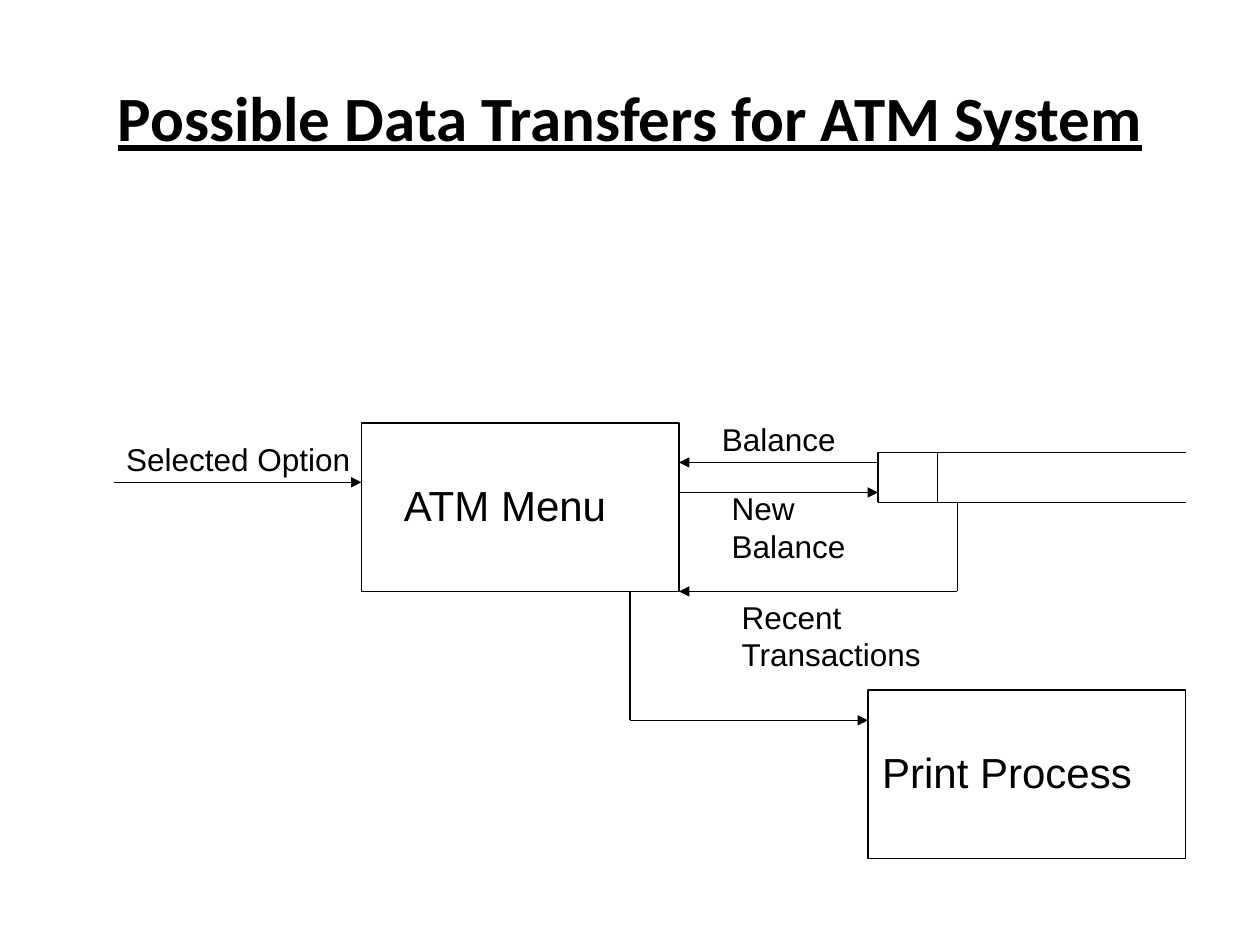
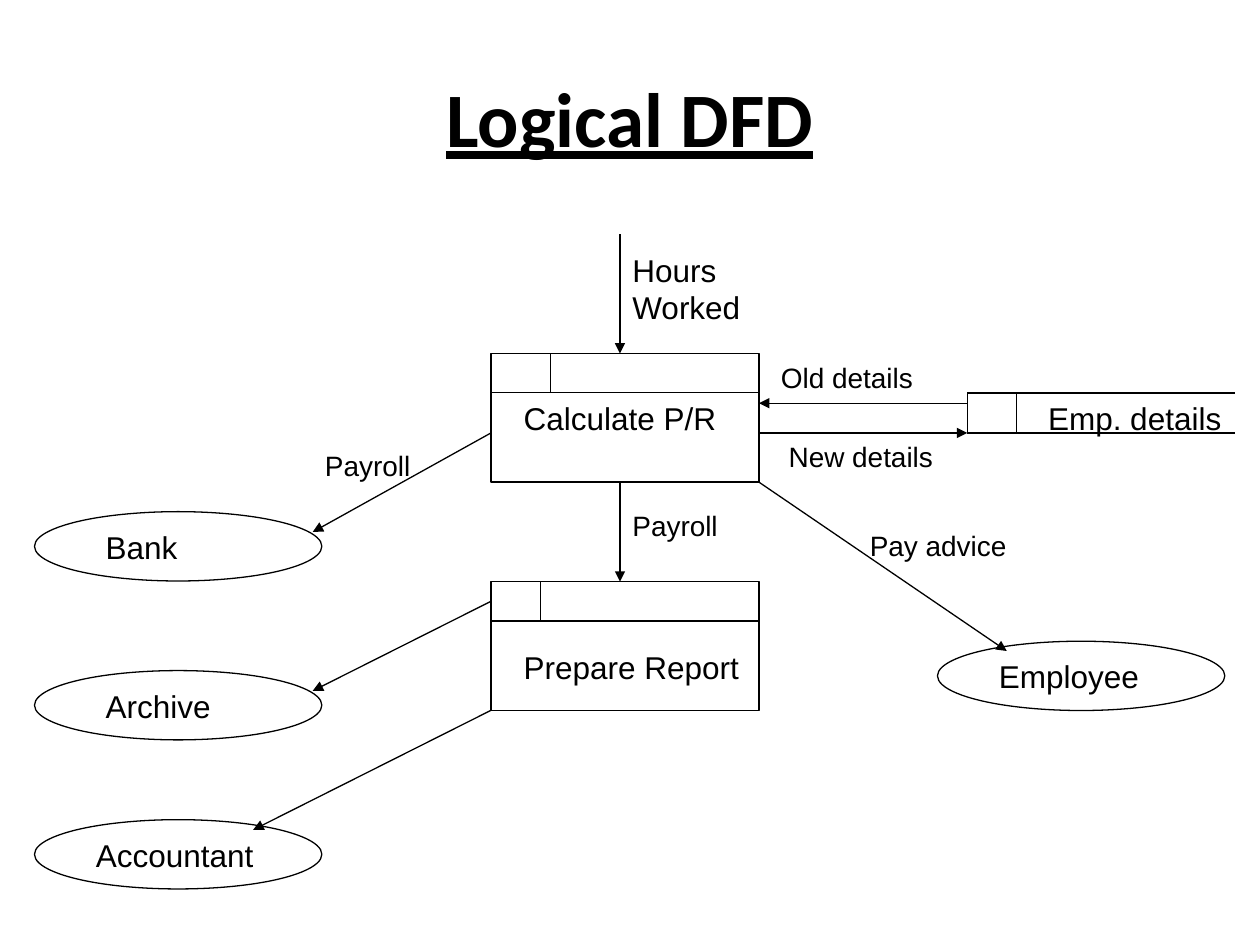
import pptx
import pptx.dml.color
import pptx.enum.shapes
import pptx.enum.text
import pptx.oxml
import pptx.oxml.ns
import pptx.util

Pt = pptx.util.Pt
SHAPES = pptx.enum.shapes.MSO_SHAPE


def colour(value):
    return pptx.dml.color.RGBColor.from_string(value)


class Diagram:
    ink = "000000"
    paper = "FFFFFF"
    stroke = 0.75
    title_font = "Calibri"
    label_font = "Arial"

    def __init__(self, deck):
        self.deck = deck
        self.page = None

    def new_page(self, title, size):
        self.page = self.deck.slides.add_slide(self.deck.slide_layouts[6])
        fill = self.page.background.fill
        fill.solid()
        fill.fore_color.rgb = colour(self.paper)
        box = self.text(title, 36, 21.6, 648, 90, size, self.title_font)
        box.text_frame.vertical_anchor = pptx.enum.text.MSO_ANCHOR.MIDDLE
        para = box.text_frame.paragraphs[0]
        para.alignment = pptx.enum.text.PP_ALIGN.CENTER
        para.runs[0].font.bold = True
        para.runs[0].font.underline = True

    def text(self, words, left, top, width, height, size, font):
        box = self.page.shapes.add_textbox(Pt(left), Pt(top), Pt(width), Pt(height))
        frame = box.text_frame
        frame.word_wrap = True
        frame.text = words
        span = frame.paragraphs[0].runs[0]
        span.font.name = font
        span.font.size = Pt(size)
        span.font.color.rgb = colour(self.ink)
        return box

    def label(self, words, left, top, width, size=18, lines=1):
        height = 1.2 * size * lines + 7.2
        box = self.text(words, left, top, width, height, size, self.label_font)
        box.text_frame.auto_size = pptx.enum.text.MSO_AUTO_SIZE.SHAPE_TO_FIT_TEXT

    def outline(self, kind, left, top, width, height):
        shape = self.page.shapes.add_shape(kind, Pt(left), Pt(top), Pt(width), Pt(height))
        shape.shadow.inherit = False
        shape.fill.background()
        shape.line.color.rgb = colour(self.ink)
        shape.line.width = Pt(self.stroke)

    def line(self, start, end, arrow=False):
        connector = self.page.shapes.add_connector(
            pptx.enum.shapes.MSO_CONNECTOR.STRAIGHT,
            Pt(start[0]), Pt(start[1]), Pt(end[0]), Pt(end[1]))
        connector.line.color.rgb = colour(self.ink)
        connector.line.width = Pt(self.stroke)
        properties = connector.element.spPr
        if arrow:
            tail = pptx.oxml.parse_xml(
                f'<a:tailEnd {pptx.oxml.ns.nsdecls("a")} type="triangle"/>')
            connector.line._get_or_add_ln().append(tail)
        properties.append(pptx.oxml.parse_xml(
            f'<a:effectLst {pptx.oxml.ns.nsdecls("a")}/>'))

    def flow(self, *points):
        last = len(points) - 2
        for index, (start, end) in enumerate(zip(points, points[1:])):
            self.line(start, end, arrow=index == last)

    def store(self, left, top, right, bottom, divider):
        for y in (top, bottom):
            self.line((left, y), (right, y))
        for x in (left, divider):
            self.line((x, top), (x, bottom))

    def process(self, name, top, divider, label_top):
        left, width, header = 280.6, 153.1, top + 22.5
        self.outline(SHAPES.RECTANGLE, left, top, width, 73.5)
        self.line((left, header), (left + width, header))
        self.line((divider, top), (divider, header))
        self.label(name, 292.2, label_top, 141.8)

    def entity(self, name, left, top, indent):
        self.outline(SHAPES.OVAL, left, top, 164.2, 39.6)
        self.label(name, left + indent, top + 5.8, 113)


def build_atm_transfers(diagram):
    diagram.new_page("Possible Data Transfers for ATM System", 36)
    menu_left, menu_right, menu_bottom = 206.6, 388, 338
    store_left, store_top, store_bottom = 501.7, 258.5, 287
    for left, top in ((menu_left, 241.7), (496, 394.3)):
        diagram.outline(SHAPES.RECTANGLE, left, top, 181.4, 96.4)
    diagram.store(store_left, store_top, 677.5, store_bottom, 535.7)

    diagram.flow((65, 275.6), (menu_left, 275.6))
    diagram.flow((menu_right, 281.4), (store_left, 281.4))
    diagram.flow((store_left, 264.3), (menu_right, 264.3))
    diagram.flow((547, store_bottom), (547, menu_bottom), (menu_right, menu_bottom))
    diagram.flow((360, menu_bottom), (360, 411.6), (496, 411.6))

    diagram.label("Selected Option", 65, 247.9, 175.7)
    diagram.label("Balance", 405.4, 236.4, 90.7)
    diagram.label("New Balance", 411, 276, 90.7, lines=2)
    diagram.label("Recent Transactions", 416.7, 338, 168, lines=2)
    diagram.label("ATM Menu", 223.7, 270.2, 175.7, 24)
    diagram.label("Print Process", 497, 423.3, 169, 24)


def build_payroll(diagram):
    diagram.new_page("Logical DFD", 44)
    left, right = 280.6, 433.7
    calculate_top, report_top = 202, 332.4
    calculate_bottom, report_bottom = calculate_top + 73.5, report_top + 73.5
    store_left = 552.7

    diagram.process("Calculate P/R", calculate_top, 314.6, 224.6)
    diagram.process("Prepare Report", report_top, 308.9, 366.6)
    for name, x, y, indent in (
            ("Bank", 19.7, 292.4, 33.6),
            ("Archive", 19.7, 383.2, 33.6),
            ("Accountant", 19.7, 468.4, 28),
            ("Employee", 535.7, 366.4, 28)):
        diagram.entity(name, x, y, indent)
    diagram.store(store_left, 224.6, 705.6, 247.4, 581)
    diagram.label("Emp. details", 591.8, 224.6, 118.8)

    for start, end in (
            ((354.3, 134), (354.3, calculate_top)),
            ((354.3, calculate_bottom), (354.3, report_top)),
            ((right, 247.4), (store_left, 247.4)),
            ((store_left, 230.4), (right, 230.4)),
            ((left, 247.4), (178.7, 304)),
            ((left, 343.6), (178.7, 394.8)),
            ((left, report_bottom), (144.7, 474.2)),
            ((right, calculate_bottom), (575.3, 372))):
        diagram.flow(start, end)

    diagram.label("Hours Worked", 354.3, 139.7, 108, lines=2)
    for words, x, y, width in (
            ("Old details", 439.2, 202.4, 108),
            ("New details", 443.6, 247.8, 108),
            ("Pay advice", 490, 298.4, 113),
            ("Payroll", 178.6, 253, 73.4),
            ("Payroll", 354.3, 287, 73.4)):
        diagram.label(words, x, y, width, 16)


def main():
    deck = pptx.Presentation()
    deck.slide_width, deck.slide_height = Pt(720), Pt(540)
    diagram = Diagram(deck)
    build_atm_transfers(diagram)
    build_payroll(diagram)
    deck.save("out.pptx")


if __name__ == "__main__":
    main()
